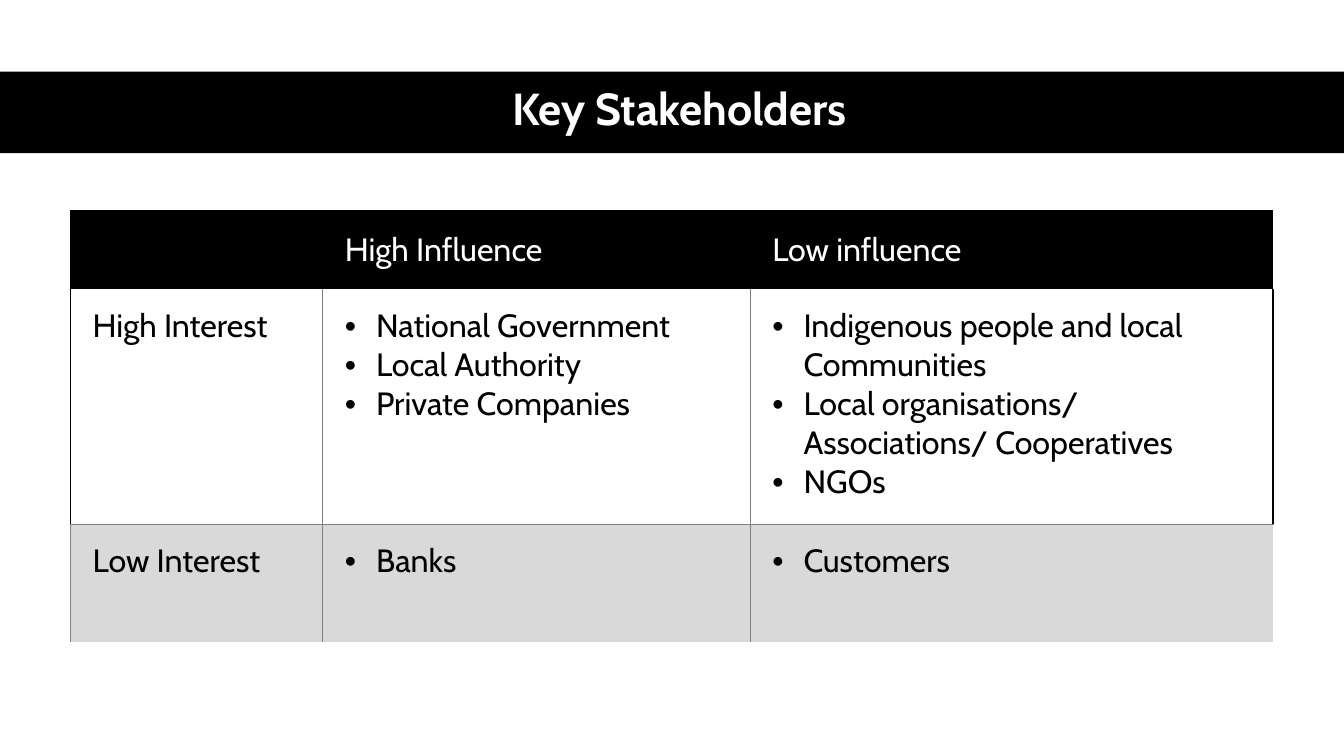
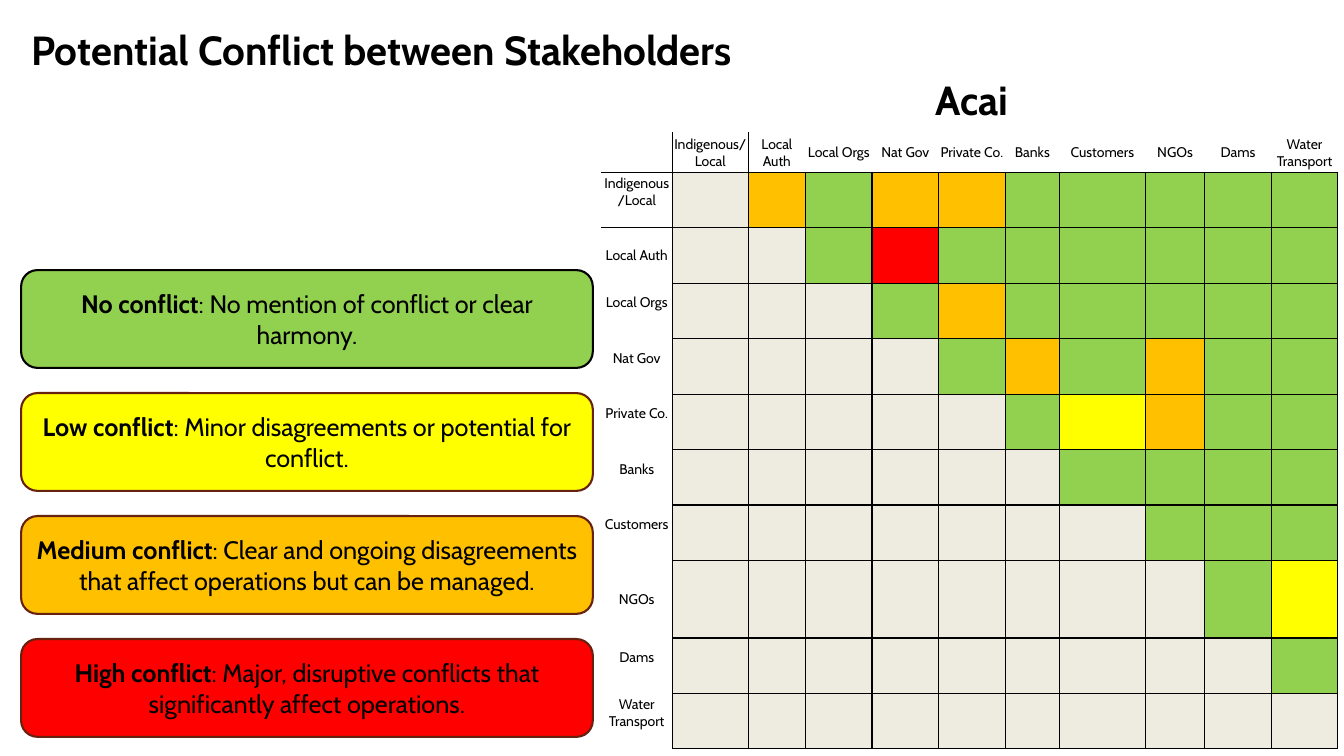
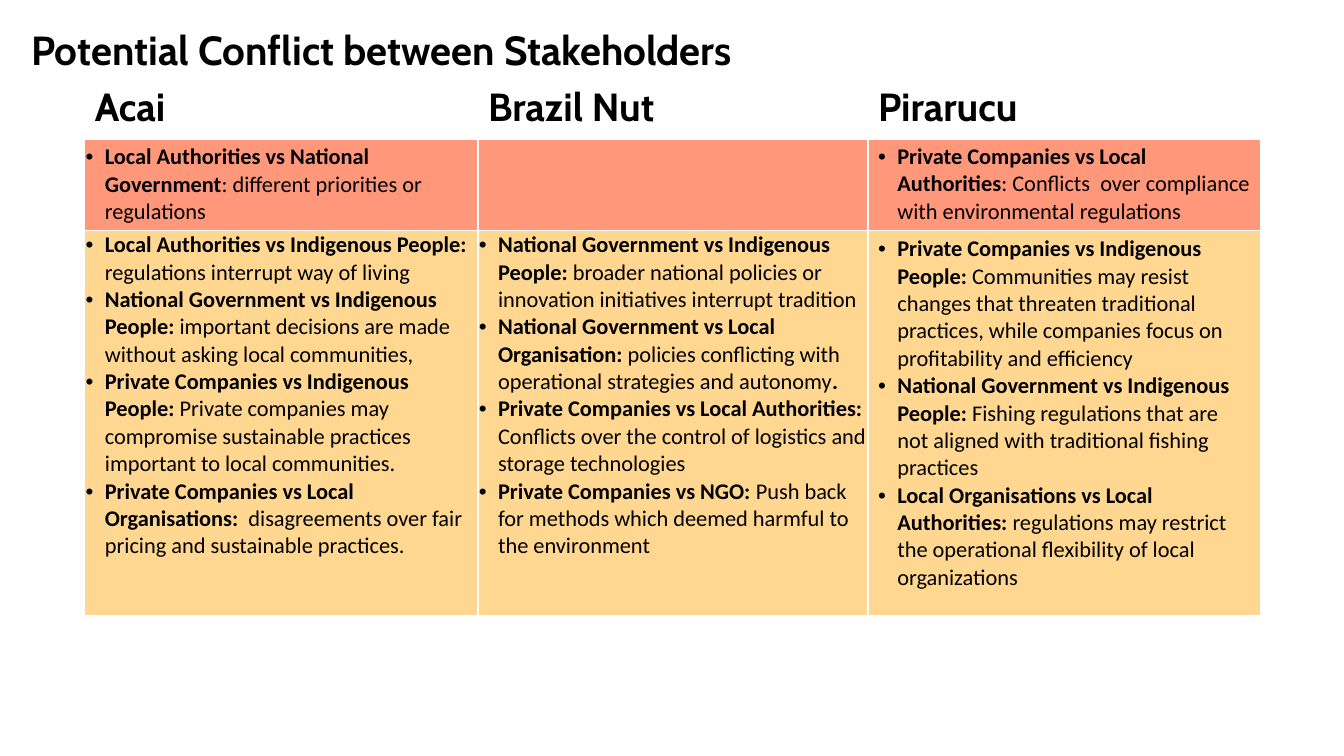
from lxml import etree
from pptx import Presentation
from pptx import util as u
from pptx.dml.color import RGBColor
from pptx.enum import shapes, text
from pptx.oxml import ns

FONT = "Cabin"
BLACK, WHITE, GREY = "000000", "FFFFFF", "808080"
BAND, BEIGE, BROWN = "D9D9D9", "EEECE1", "66210F"
RED_TINT, AMBER_TINT = "FF977A", "FFD791"
NO_GRID_STYLE = "{2D5ABB26-0587-4C30-8999-92F81FD0307C}"
DEFAULT_INSETS = (0.1, 0.05, 0.1, 0.05)
TIGHT_INSETS = (0.01, 0.01, 0.01, 0)
WIDE_INSETS = (0.22, 0.17, 0.17, 0.17)
TOP, MIDDLE = text.MSO_ANCHOR.TOP, text.MSO_ANCHOR.MIDDLE
LEFT, CENTER = text.PP_ALIGN.LEFT, text.PP_ALIGN.CENTER
CONFLICT_TITLE = "Potential Conflict between Stakeholders"

LEVELS = {"G": "92D050", "L": "FFFF00", "M": "FFC000", "H": "FF0000"}
LEGEND = [
    ("G", BLACK, "**No conflict**: No mention of conflict or clear harmony."),
    ("L", BROWN, "**Low conflict**: Minor disagreements or potential for conflict."),
    ("M", BROWN, "**Medium conflict**: Clear and ongoing disagreements that affect operations but can be managed."),
    ("H", BROWN, "**High conflict**: Major, disruptive conflicts that significantly affect operations."),
]
PARTIES = {
    "Indigenous/Local": "MGMMGGGGG",
    "Local Auth": "GHGGGGGG",
    "Local Orgs": "GMGGGGG",
    "Nat Gov": "GMGMGG",
    "Private Co.": "GLMGG",
    "Banks": "GGGG",
    "Customers": "GGG",
    "NGOs": "GL",
    "Dams": "G",
    "Water Transport": "",
}
CENTRED_LABELS = ("Local Auth", "NGOs")

INTEREST_ROWS = [
    ("High Interest",
     ["National Government", "Local Authority", "Private Companies"],
     ["Indigenous people and local Communities",
      "Local organisations/ Associations/ Cooperatives", "NGOs"]),
    ("Low Interest", ["Banks"], ["Customers"]),
]

PRODUCTS = ["Acai", "Brazil Nut", "Pirarucu"]
HIGH_CONFLICTS = [
    ["**Local Authorities vs National Government**: different priorities or regulations"],
    [],
    ["**Private Companies vs Local Authorities**: Conflicts  over compliance with environmental regulations"],
]
MEDIUM_CONFLICTS = [
    ["**Local Authorities vs Indigenous People: **regulations interrupt way of living",
     "**National Government vs Indigenous People: **important decisions are made without asking local communities,",
     "**Private Companies vs Indigenous People: **Private companies may compromise sustainable practices "
     "important to local communities.",
     "**Private Companies vs Local Organisations:**  disagreements over fair pricing and sustainable practices."],
    ["**National Government vs Indigenous People: **broader national policies or innovation initiatives "
     "interrupt tradition",
     "**National Government vs Local Organisation: **policies conflicting with operational strategies "
     "and autonomy**.**",
     "**Private Companies vs Local Authorities: **Conflicts over the control of logistics and storage technologies",
     "**Private Companies vs NGO: **Push back for methods which deemed harmful to the environment"],
    ["**Private Companies vs Indigenous People: **Communities may resist changes that threaten traditional "
     "practices, while companies focus on profitability and efficiency",
     "**National Government vs Indigenous People:** Fishing regulations that are not aligned with "
     "traditional fishing practices",
     "**Local Organisations vs Local Authorities: **regulations may restrict the operational flexibility "
     "of local organizations"],
]


def rgb(value):
    return RGBColor.from_string(value)


def add_bullet(paragraph, indent):
    properties = paragraph._p.get_or_add_pPr()
    properties.set("marL", str(u.Inches(indent)))
    properties.set("indent", str(-u.Inches(indent)))
    etree.SubElement(properties, ns.qn("a:buFont"), typeface="Arial")
    etree.SubElement(properties, ns.qn("a:buChar"), char="•")


def write(frame, lines, size, color=BLACK, font=FONT, align=LEFT, indent=None):
    for index, line in enumerate(lines):
        paragraph = frame.paragraphs[0] if index == 0 else frame.add_paragraph()
        paragraph.alignment = align
        if indent:
            add_bullet(paragraph, indent)
        paragraph.font.size = u.Pt(size)
        paragraph.font.name = font
        paragraph.font.color.rgb = rgb(color)
        for position, part in enumerate(line.split("**")):
            if part:
                run = paragraph.add_run()
                run.text = part
                run.font.bold = position % 2 == 1


def set_title(slide, title_text, box, size, color=BLACK, align=LEFT):
    title = slide.shapes.title
    title.left, title.top, title.width, title.height = map(u.Inches, box)
    title.text_frame.auto_size = text.MSO_AUTO_SIZE.NONE
    title.text_frame.vertical_anchor = MIDDLE
    write(title.text_frame, [f"**{title_text}**"], size, color, align=align)
    title.text_frame.paragraphs[0].line_spacing = 0.9 if align == CENTER else 1.0
    return title


def add_box(slide, preset, box, fill, line=None):
    shape = slide.shapes.add_shape(preset, *map(u.Inches, box))
    shape.shadow.inherit = False
    shape.fill.solid()
    shape.fill.fore_color.rgb = rgb(fill)
    if line:
        shape.line.color.rgb = rgb(line)
        shape.line.width = u.Pt(1.5)
    else:
        shape.line.fill.background()
    return shape


def add_table(slide, left, top, columns, rows):
    frame = slide.shapes.add_table(len(rows), len(columns), u.Inches(left), u.Inches(top),
                                   u.Inches(sum(columns)), u.Inches(sum(rows)))
    table = frame.table
    table.first_row = table.horz_banding = False
    table._tbl.tblPr.find(ns.qn("a:tableStyleId")).text = NO_GRID_STYLE
    for column, width in zip(table.columns, columns):
        column.width = u.Inches(width)
    for row, height in zip(table.rows, rows):
        row.height = u.Inches(height)
    return table


def style_cell(cell, fill=None, borders=None, insets=DEFAULT_INSETS, anchor=TOP):
    cell.margin_left, cell.margin_top, cell.margin_right, cell.margin_bottom = map(u.Inches, insets)
    cell.vertical_anchor = anchor
    for side in "LRTB":
        if borders and side in borders:
            color, width = borders[side]
            line = etree.SubElement(cell._tc.get_or_add_tcPr(), ns.qn(f"a:ln{side}"), w=str(u.Pt(width)))
            solid = etree.SubElement(line, ns.qn("a:solidFill"))
            etree.SubElement(solid, ns.qn("a:srgbClr"), val=color)
    if fill:
        cell.fill.solid()
        cell.fill.fore_color.rgb = rgb(fill)
    else:
        cell.fill.background()


def build_stakeholders(slide):
    title = set_title(slide, "Key Stakeholders", (0.61, 0.7, 12.26, 0.81), 32, WHITE, CENTER)
    band = add_box(slide, shapes.MSO_SHAPE.RECTANGLE, (0, 0.71, 13.33, 0.81), BLACK)
    title._element.addprevious(band._element)

    edge, rule = (BLACK, 1.5), (GREY, 0.5)
    table = add_table(slide, 0.7, 2.09, [2.5, 4.24, 5.19], [0.78, 2.33, 1.17])
    for column, heading in enumerate(["", "High Influence", "Low influence"]):
        cell = table.cell(0, column)
        style_cell(cell, BLACK, {"L": edge, "T": edge} if column == 0 else {"T": edge}, WIDE_INSETS, MIDDLE)
        write(cell.text_frame, [heading], 23, WHITE)
    for row, (label, *groups) in enumerate(INTEREST_ROWS, 1):
        for column, lines in enumerate([[label], *groups]):
            cell = table.cell(row, column)
            if row == 1:
                borders = {"L": rule if column else edge, "R": edge if column == 2 else rule, "B": rule}
            else:
                borders = {"L": rule, "T": rule}
                if column < 2:
                    borders["R"] = rule
            style_cell(cell, None if row == 1 else BAND, borders, WIDE_INSETS)
            write(cell.text_frame, lines, 23, indent=0.31 if column else None)


def add_legend(slide):
    for index, (level, line, description) in enumerate(LEGEND):
        box = (0.21, 2.68 + 1.22 * index, 5.67, 0.97)
        shape = add_box(slide, shapes.MSO_SHAPE.ROUNDED_RECTANGLE, box, LEVELS[level], line)
        shape.text_frame.word_wrap = True
        shape.text_frame.vertical_anchor = MIDDLE
        write(shape.text_frame, [description], 18, align=CENTER)


def add_conflict_matrix(slide):
    line = (BLACK, 1)
    columns = [0.71, 0.75, 0.57, 0.66, 0.66, 0.66, 0.54, 0.85, 0.59, 0.66, 0.66]
    rows = [0.4] + [0.77 if party == "NGOs" else 0.55 for party in PARTIES]
    table = add_table(slide, 5.96, 1.31, columns, rows)
    style_cell(table.cell(0, 0), None, {"R": line, "B": line}, TIGHT_INSETS)
    for index, (party, levels) in enumerate(PARTIES.items(), 1):
        heading, label = table.cell(0, index), table.cell(index, 0)
        style_cell(heading, None, {"L": line, "B": line} if index == 1 else {"B": line}, TIGHT_INSETS, MIDDLE)
        bottom = 0 if party in CENTRED_LABELS else 0.17
        style_cell(label, None, {"R": line, "T": line} if index == 1 else {"R": line},
                   (*TIGHT_INSETS[:3], bottom), MIDDLE)
        for cell in (heading, label):
            write(cell.text_frame, [party], 10, align=CENTER)
        fills = [BEIGE] * index + [LEVELS[level] for level in levels]
        for column, fill in enumerate(fills, 1):
            style_cell(table.cell(index, column), fill, dict.fromkeys("LRTB", line))


def build_matrix(slide):
    set_title(slide, CONFLICT_TITLE, (0.21, 0.19, 9.73, 0.59), 29)
    add_legend(slide)
    add_conflict_matrix(slide)
    caption = slide.shapes.add_textbox(*map(u.Inches, (9.18, 0.69, 1.51, 0.59)))
    caption.text_frame.word_wrap = True
    write(caption.text_frame, ["**Acai**"], 29)


def build_conflicts(slide):
    set_title(slide, CONFLICT_TITLE, (0.21, 0.19, 9.73, 0.59), 29)
    borders = dict.fromkeys("LRTB", (WHITE, 1))
    table = add_table(slide, 0.84, 0.78, [3.9, 3.87, 3.89], [0.59, 0.88, 3.82])
    for column, product in enumerate(PRODUCTS):
        heading = table.cell(0, column)
        style_cell(heading, WHITE, {**borders, "B": (WHITE, 3)})
        write(heading.text_frame, [f"**{product}**"], 28)
        insets = DEFAULT_INSETS if column == 2 else TIGHT_INSETS
        bodies = [(HIGH_CONFLICTS, RED_TINT), (MEDIUM_CONFLICTS, AMBER_TINT)]
        for row, (conflicts, fill) in enumerate(bodies, 1):
            cell = table.cell(row, column)
            style_cell(cell, fill, borders, insets, MIDDLE if (row, column) == (1, 0) else TOP)
            write(cell.text_frame, conflicts[column], 16, font="Calibri", indent=0.19)


def main():
    presentation = Presentation()
    presentation.slide_width, presentation.slide_height = u.Inches(13.33), u.Inches(7.5)
    for build in (build_stakeholders, build_matrix, build_conflicts):
        build(presentation.slides.add_slide(presentation.slide_layouts[5]))
    presentation.save("out.pptx")


if __name__ == "__main__":
    main()
